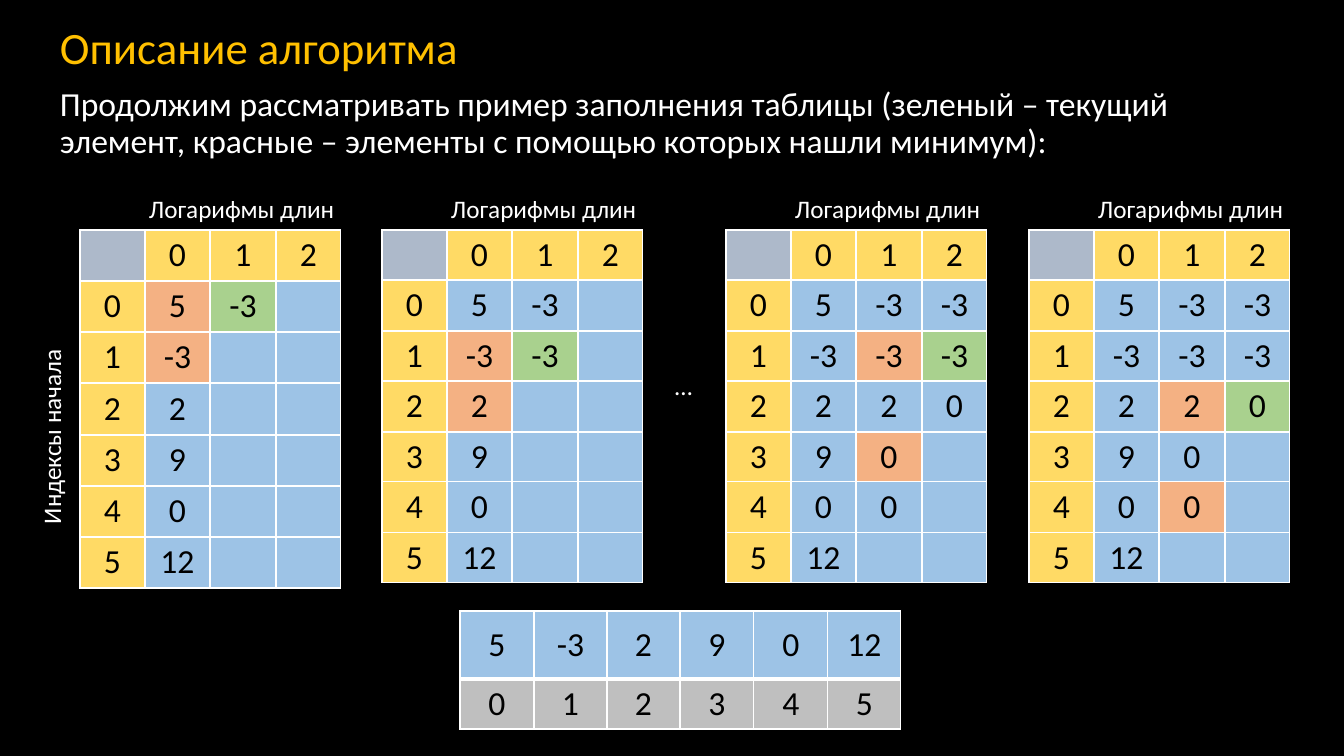
from lxml.etree import SubElement
from pptx import Presentation
from pptx.dml.color import RGBColor
from pptx.enum.text import MSO_ANCHOR as Anchor, MSO_AUTO_SIZE as AutoSize, PP_ALIGN as Align
from pptx.oxml.ns import qn
from pptx.util import Emu, Pt

SCALE = 12192000 / 1344
WHITE, BLACK, AMBER = "FFFFFF", "000000", "FFC000"
CORNER, HEADER, BLUE, GRAY = "ADB9CA", "FFDA65", "9DC3E6", "BFBFBF"
RED, GREEN = "F4B183", "A9D18E"


def px(length):
    return Emu(round(length * SCALE))


def color(code):
    return RGBColor.from_string(code)


def apply(target, values):
    for name, value in values.items():
        setattr(target, name, value)


def split_evenly(total, count):
    edges = [round(total * step / count) for step in range(count + 1)]
    return [end - start for start, end in zip(edges, edges[1:])]


class SlideBuilder:
    font = "Calibri"
    cell_size = 24

    def __init__(self, deck):
        self.page = deck.slides.add_slide(deck.slide_layouts[6])

    def background(self, code):
        fill = self.page.background.fill
        fill.solid()
        fill.fore_color.rgb = color(code)

    def add_span(self, para, words, size, code):
        span = para.add_run()
        span.text = words
        apply(span.font, {"name": self.font, "size": Pt(size)})
        span.font.color.rgb = color(code)

    def text(self, words, area, size, code=WHITE, frame=None, spacing=None, rotation=0):
        box = self.page.shapes.add_textbox(*map(px, area))
        box.rotation = rotation
        apply(box.text_frame, {"word_wrap": True, **(frame or {})})
        para = box.text_frame.paragraphs[0]
        apply(para, spacing or {})
        self.add_span(para, words, size, code)

    def label(self, words, area, wrap=False, rotation=0):
        frame = {"word_wrap": wrap, "auto_size": AutoSize.SHAPE_TO_FIT_TEXT}
        self.text(words, area, 18, frame=frame, rotation=rotation)

    def border(self, cell, side, width):
        line = SubElement(cell._tc.get_or_add_tcPr(), qn("a:ln" + side), w=str(Pt(width)))
        fill = SubElement(line, qn("a:solidFill"))
        SubElement(fill, qn("a:srgbClr"), val=WHITE)

    def table(self, left, top, widths, heights, values, fills, thick_row=None):
        area = map(px, (left, top, sum(widths), sum(heights)))
        table = self.page.shapes.add_table(len(heights), len(widths), *area).table
        apply(table, {"first_row": False, "horz_banding": False})
        for column, width in zip(table.columns, widths):
            column.width = px(width)
        for row, height in zip(table.rows, heights):
            row.height = px(height)
        for r in range(len(heights)):
            widths_by_side = {
                "L": 1,
                "R": 1,
                "T": 3 if r - 1 == thick_row else 1,
                "B": 3 if r == thick_row else 1,
            }
            for c in range(len(widths)):
                cell = table.cell(r, c)
                apply(cell, {
                    "margin_top": px(4),
                    "margin_bottom": px(4),
                    "vertical_anchor": Anchor.MIDDLE,
                })
                for side, width in widths_by_side.items():
                    self.border(cell, side, width)
                cell.fill.solid()
                cell.fill.fore_color.rgb = color(fills(r, c))
                if c < len(values[r]) and values[r][c]:
                    para = cell.text_frame.paragraphs[0]
                    para.alignment = Align.CENTER
                    self.add_span(para, values[r][c], self.cell_size, BLACK)

    def step_table(self, left, height, second, third, reds, green):
        values = [["", "0", "1", "2"]]
        for index, value in enumerate(ARRAY):
            values.append([str(index), value, *second[index:index + 1], *third[index:index + 1]])

        def fills(r, c):
            if r == 0 or c == 0:
                return CORNER if r == c else HEADER
            if (r - 1, c - 1) == green:
                return GREEN
            return RED if (r - 1, c - 1) in reds else BLUE

        self.table(left, 230, split_evenly(261, 4), split_evenly(height, 7), values, fills)
        self.label("Логарифмы длин", (left + 59, 188, 208, 40))


ARRAY = ["5", "-3", "2", "9", "0", "12"]
PAIRS = ["-3", "-3", "2", "0", "0"]
FOURS = ["-3", "-3", "0"]
STEPS = [
    (80, 358, PAIRS[:1], [], [(0, 0), (1, 0)], (0, 1)),
    (382, 353, PAIRS[:2], [], [(1, 0), (2, 0)], (1, 1)),
    (726, 353, PAIRS, FOURS, [(1, 1), (3, 1)], (1, 2)),
    (1029, 353, PAIRS, FOURS, [(2, 1), (4, 1)], (2, 2)),
]


def main():
    deck = Presentation()
    apply(deck, {"slide_width": px(1344), "slide_height": px(756)})
    slide = SlideBuilder(deck)
    slide.background(BLACK)
    slide.text("Описание алгоритма", (50, 4, 485, 92), 32, AMBER,
               frame={"vertical_anchor": Anchor.MIDDLE}, spacing={"line_spacing": 0.9})
    slide.text("Продолжим рассматривать пример заполнения таблицы (зеленый – текущий "
               "элемент, красные – элементы с помощью которых нашли минимум):",
               (50, 83, 1159, 92), 24,
               spacing={"line_spacing": 0.9, "space_before": Pt(10)})
    for step in STEPS:
        slide.step_table(*step)
    slide.label("Индексы начала", (-48, 415, 198, 40), rotation=270)
    slide.label("…", (665, 365, 78, 40), wrap=True)
    indices = [str(index) for index in range(len(ARRAY))]
    slide.table(460, 611, split_evenly(441, 6), [68, 50], [ARRAY, indices],
                lambda r, c: GRAY if r else BLUE, thick_row=0)
    deck.save("out.pptx")


if __name__ == "__main__":
    main()
